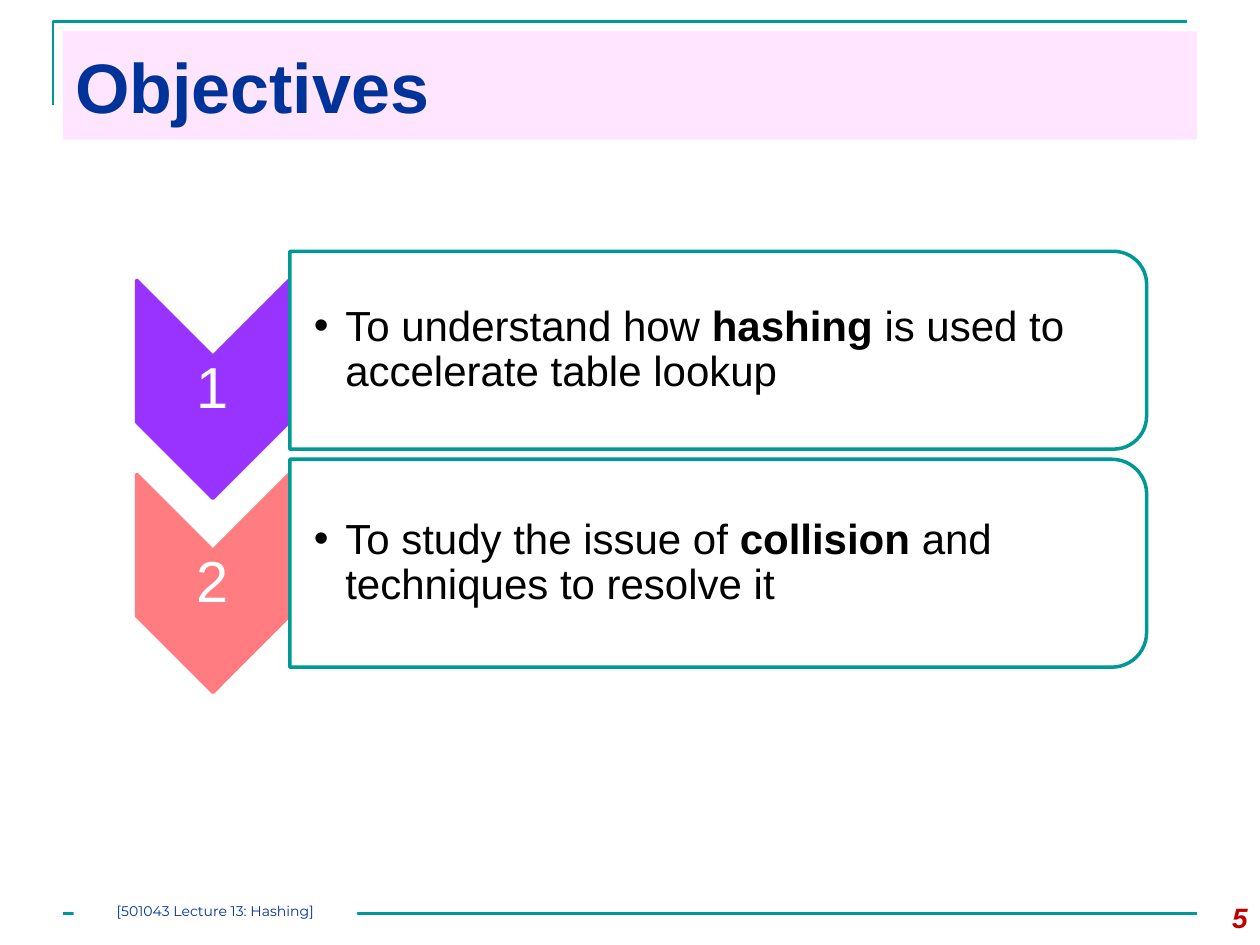
import dataclasses
import typing

import lxml.etree
import pptx
import pptx.dml.color
import pptx.enum.shapes
import pptx.enum.text
import pptx.oxml.ns
import pptx.util

Inches = pptx.util.Inches
SHAPES = pptx.enum.shapes.MSO_SHAPE
ALIGN = pptx.enum.text.PP_ALIGN
ANCHOR = pptx.enum.text.MSO_ANCHOR
WIDTH, HEIGHT = 10, 7.5
MARGIN = WIDTH / 20
FIRST_ROW, ROW_PITCH = 3.09, 1.54
CHEVRON_X, CHEVRON_LENGTH, CHEVRON_WIDTH = 1.69, 1.73, 1.21
PANEL_LEFT, PANEL_WIDTH = 2.3, 6.8
COLORS = {
    "teal": "009999", "panel_line": "009996", "pink": "FF99FF", "navy": "003399",
    "red": "C00000", "violet": "9933FF", "coral": "FF7C80", "white": "FFFFFF", "black": "000000",
}


@dataclasses.dataclass(frozen=True)
class Objective:
    """A numbered objective with its chevron colour and panel extent."""
    color: str
    panel_center: float
    panel_height: float
    runs: tuple[tuple[str, bool], ...]


OBJECTIVES = (
    Objective("violet", 2.78, 1.57, (
        ("To understand how ", False), ("hashing", True),
        (" is used to accelerate table lookup", False))),
    Objective("coral", 4.47, 1.65, (
        ("To study the issue of ", False), ("collision", True),
        (" and techniques to resolve it", False))),
)


def rgb(name: str) -> pptx.dml.color.RGBColor:
    """Return a named colour."""
    return pptx.dml.color.RGBColor.from_string(COLORS[name])


def add_child(parent: typing.Any, tag: str, **attributes: str) -> typing.Any:
    """Append a drawing element to its parent."""
    child = lxml.etree.SubElement(parent, pptx.oxml.ns.qn(tag))
    for key, value in attributes.items():
        child.set(key, value)
    return child


def style_line(line: typing.Any, color: str, width: float) -> None:
    """Set the colour and width of a line."""
    line.color.rgb = rgb(color)
    line.width = pptx.util.Pt(width)


def add_block(slide: typing.Any, kind: typing.Any, center: tuple[float, float],
              size: tuple[float, float], fill: str, *, line: str | None = None,
              opacity: int = 100, rotation: int = 0,
              adjustments: tuple[float, ...] = ()) -> typing.Any:
    """Add a filled preset shape around a centre point."""
    width, height = size
    shape = slide.shapes.add_shape(
        kind, Inches(center[0] - width / 2), Inches(center[1] - height / 2),
        Inches(width), Inches(height))
    shape.shadow.inherit = False
    shape.rotation = rotation
    shape.fill.solid()
    shape.fill.fore_color.rgb = rgb(fill)
    if opacity < 100:
        fill_color = shape.fill._xPr.find(".//" + pptx.oxml.ns.qn("a:srgbClr"))
        add_child(fill_color, "a:alpha", val=str(opacity * 1000))
    if line:
        style_line(shape.line, line, 2)
    else:
        shape.line.fill.background()
    for index, value in enumerate(adjustments):
        shape.adjustments[index] = value
    return shape


def add_box(slide: typing.Any, left: float, top: float, width: float, height: float) -> typing.Any:
    """Add an empty text box."""
    return slide.shapes.add_textbox(Inches(left), Inches(top), Inches(width), Inches(height))


def write(shape: typing.Any, runs: typing.Iterable[tuple[str, bool]], *, size: float,
          color: str, font: str = "Arial", italic: bool = False,
          align: typing.Any = ALIGN.LEFT, anchor: typing.Any = ANCHOR.TOP,
          insets: tuple[float, float, float, float] = (0.1, 0.05, 0.1, 0.05),
          spacing: float = 1.0, bullet: bool = False) -> None:
    """Write one formatted paragraph of plain and bold runs."""
    frame = shape.text_frame
    frame.word_wrap = True
    frame.vertical_anchor = anchor
    frame.margin_left, frame.margin_top, frame.margin_right, frame.margin_bottom = map(Inches, insets)
    paragraph = frame.paragraphs[0]
    paragraph.alignment = align
    paragraph.line_spacing = spacing
    if bullet:
        properties = paragraph._p.get_or_add_pPr()
        indent = Inches(0.25)
        properties.set("marL", str(indent))
        properties.set("indent", str(-indent))
        add_child(add_child(properties, "a:buClr"), "a:srgbClr", val=COLORS[color])
        add_child(properties, "a:buFont", typeface=font)
        add_child(properties, "a:buChar", char="•")
    for text, bold in runs:
        run = paragraph.add_run()
        run.text = text
        run.font.name = font
        run.font.size = pptx.util.Pt(size)
        run.font.bold = bold
        run.font.italic = italic
        run.font.color.rgb = rgb(color)


def add_frame(slide: typing.Any) -> None:
    """Draw the corner rule, footer rule, title and page number."""
    builder = slide.shapes.build_freeform(Inches(0.42), Inches(0.83), scale=1.0)
    builder.add_line_segments(
        [(Inches(0.42), Inches(0.17)), (Inches(9.42), Inches(0.17))], close=False)
    corner = builder.convert_to_shape()
    corner.shadow.inherit = False
    corner.fill.background()
    style_line(corner.line, "teal", 1.5)
    rule = slide.shapes.add_connector(
        pptx.enum.shapes.MSO_CONNECTOR.STRAIGHT, Inches(MARGIN), Inches(7.25),
        Inches(WIDTH - MARGIN), Inches(7.25))
    style_line(rule.line, "teal", 1.5)
    add_child(rule._element.spPr, "a:effectLst")
    title = add_block(slide, SHAPES.RECTANGLE, (WIDTH / 2, 0.68),
                      (WIDTH - 2 * MARGIN, 0.86), "pink", opacity=25)
    write(title, [("Objectives", True)], size=40, color="navy", anchor=ANCHOR.MIDDLE)
    write(add_box(slide, 9.33, 7.1, 0.67, 0.4), [("5", True)], size=16, color="red",
          italic=True, align=ALIGN.RIGHT)


def add_objective(slide: typing.Any, number: int, objective: Objective) -> None:
    """Draw one numbered chevron and its text panel."""
    middle = FIRST_ROW + (number - 1) * ROW_PITCH
    add_block(slide, SHAPES.CHEVRON, (CHEVRON_X, middle), (CHEVRON_LENGTH, CHEVRON_WIDTH),
              objective.color, line=objective.color, rotation=90, adjustments=(0.5,))
    label = add_box(slide, CHEVRON_X - CHEVRON_WIDTH / 2, middle - 0.26, CHEVRON_WIDTH, 0.52)
    write(label, [(str(number), False)], size=33, color="white", align=ALIGN.CENTER,
          anchor=ANCHOR.MIDDLE, insets=(0.02,) * 4, spacing=0.9)
    add_block(slide, SHAPES.ROUND_2_SAME_RECTANGLE,
              (PANEL_LEFT + PANEL_WIDTH / 2, objective.panel_center),
              (objective.panel_height, PANEL_WIDTH), "white", line="panel_line",
              opacity=90, rotation=90, adjustments=(0.167, 0))
    text_height = objective.panel_height - 0.16
    body = add_box(slide, PANEL_LEFT, objective.panel_center - text_height / 2,
                   PANEL_WIDTH - 0.08, text_height)
    write(body, objective.runs, size=24, color="black", anchor=ANCHOR.MIDDLE,
          insets=(0.19, 0.02, 0.02, 0.02), spacing=0.9, bullet=True)


def main() -> None:
    """Build and save the objectives slide."""
    presentation = pptx.Presentation()
    presentation.slide_width, presentation.slide_height = Inches(WIDTH), Inches(HEIGHT)
    slide = presentation.slides.add_slide(presentation.slide_layouts[6])
    add_frame(slide)
    for number, objective in enumerate(OBJECTIVES, start=1):
        add_objective(slide, number, objective)
    footer = add_block(slide, SHAPES.RECTANGLE, (1.71, 7.25), (2.25, 0.17), "white")
    write(footer, [("[501043 Lecture 13: Hashing]", False)], size=8, color="navy",
          font="Montserrat", align=ALIGN.CENTER, insets=(0,) * 4)
    presentation.save("out.pptx")


main()
